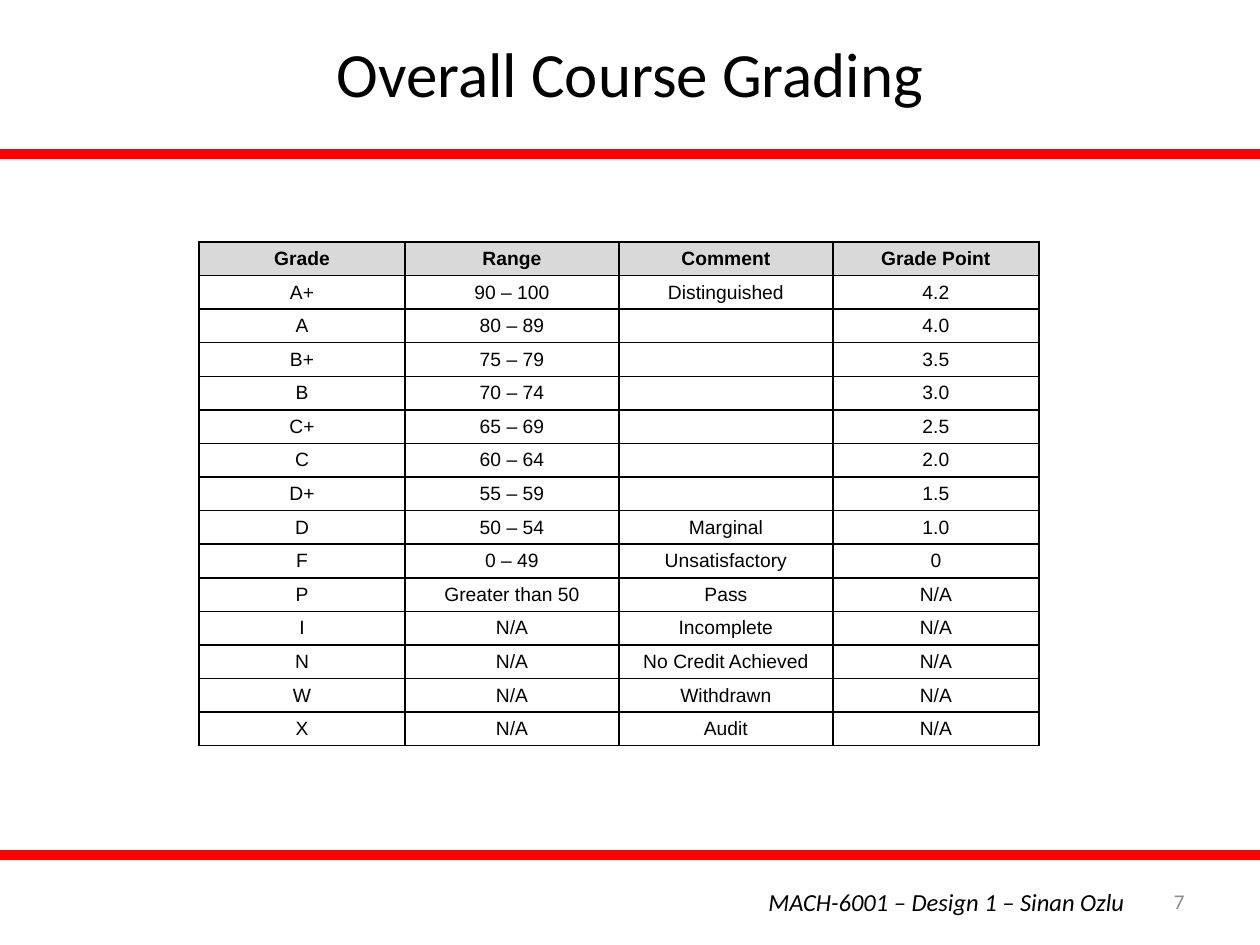
from dataclasses import dataclass

from lxml import etree
from pptx import Presentation
from pptx import util as u
from pptx.dml.color import RGBColor
from pptx.enum import shapes, text
from pptx.oxml import ns

EMU_PER_PX = 914400 / 126


@dataclass(frozen=True)
class Theme:
    ink: str = "000000"
    muted: str = "8C8C8C"
    accent: str = "FF0000"
    header_fill: str = "D9D9D9"
    heading_font: str = "Calibri"
    table_font: str = "Arial"
    title_size: int = 36
    footer_size: int = 14
    number_size: int = 12
    table_size: int = 11


THEME = Theme()

GRADES = [
    ("Grade", "Range", "Comment", "Grade Point"),
    ("A+", "90 – 100", "Distinguished", "4.2"),
    ("A", "80 – 89", "", "4.0"),
    ("B+", "75 – 79", "", "3.5"),
    ("B", "70 – 74", "", "3.0"),
    ("C+", "65 – 69", "", "2.5"),
    ("C", "60 – 64", "", "2.0"),
    ("D+", "55 – 59", "", "1.5"),
    ("D", "50 – 54", "Marginal", "1.0"),
    ("F", "0 – 49", "Unsatisfactory", "0"),
    ("P", "Greater than 50", "Pass", "N/A"),
    ("I", "N/A", "Incomplete", "N/A"),
    ("N", "N/A", "No Credit Achieved", "N/A"),
    ("W", "N/A", "Withdrawn", "N/A"),
    ("X", "N/A", "Audit", "N/A"),
]
COLUMN_WIDTHS = (206, 214, 214, 206)
TABLE_HEIGHT = 504


def px(length):
    return u.Emu(round(length * EMU_PER_PX))


def box(*lengths):
    return [px(length) for length in lengths]


def style_font(font, color, **values):
    font.color.rgb = RGBColor.from_string(color)
    for name, value in values.items():
        setattr(font, name, value)


def add_label(slide, words, place, align, color, wrap=True,
              anchor=text.MSO_ANCHOR.MIDDLE, **font_values):
    frame = slide.shapes.add_textbox(*box(*place)).text_frame
    frame.word_wrap = wrap
    frame.vertical_anchor = anchor
    line = frame.paragraphs[0]
    line.alignment = align
    run = line.add_run()
    run.text = words
    style_font(run.font, color, name=THEME.heading_font, **font_values)


def add_rule(slide, top):
    rule = slide.shapes.add_shape(shapes.MSO_SHAPE.RECTANGLE, *box(0, top, 1260, 6))
    rule.shadow.inherit = False
    accent = RGBColor.from_string(THEME.accent)
    rule.fill.solid()
    rule.fill.fore_color.rgb = accent
    rule.line.color.rgb = accent
    rule.line.width = u.Pt(2)


def add_borders(cell):
    properties = cell._tc.get_or_add_tcPr()
    for side in ("a:lnL", "a:lnR", "a:lnT", "a:lnB"):
        border = etree.SubElement(properties, ns.qn(side), w=str(u.Pt(1)))
        fill = etree.SubElement(border, ns.qn("a:solidFill"))
        etree.SubElement(fill, ns.qn("a:srgbClr"), val=THEME.ink)


def fill_cell(cell, words, is_header):
    add_borders(cell)
    if is_header:
        cell.fill.solid()
        cell.fill.fore_color.rgb = RGBColor.from_string(THEME.header_fill)
    else:
        cell.fill.background()
    layout = {"margin_left": px(9), "margin_right": px(9), "margin_top": 0,
              "margin_bottom": 0, "vertical_anchor": text.MSO_ANCHOR.MIDDLE}
    for name, value in layout.items():
        setattr(cell, name, value)
    line = cell.text_frame.paragraphs[0]
    line.alignment = text.PP_ALIGN.CENTER
    if words:
        run = line.add_run()
        run.text = words
        style_font(run.font, THEME.ink, name=THEME.table_font,
                   size=u.Pt(THEME.table_size), bold=is_header)
    else:
        # Keeps an empty cell from growing its row to the default type size.
        etree.SubElement(line._p, ns.qn("a:endParaRPr"), sz=str(THEME.table_size * 100))


def add_grade_table(slide):
    table = slide.shapes.add_table(
        len(GRADES), len(COLUMN_WIDTHS),
        *box(199, 242, sum(COLUMN_WIDTHS), TABLE_HEIGHT)).table
    table.first_row = table.horz_banding = False
    for column, width in zip(table.columns, COLUMN_WIDTHS):
        column.width = px(width)
    for row_index, (row, entries) in enumerate(zip(table.rows, GRADES)):
        row.height = px(TABLE_HEIGHT / len(GRADES))
        for cell, words in zip(row.cells, entries):
            fill_cell(cell, words, is_header=row_index == 0)


def main():
    deck = Presentation()
    deck.slide_width, deck.slide_height = box(1260, 945)
    slide = deck.slides.add_slide(deck.slide_layouts[6])

    add_label(slide, "Overall Course Grading", (68, 25, 1124, 95),
              text.PP_ALIGN.CENTER, THEME.ink, size=u.Pt(THEME.title_size))
    add_label(slide, "7", (903, 876, 294, 50),
              text.PP_ALIGN.RIGHT, THEME.muted, size=u.Pt(THEME.number_size))
    for top in (151, 852):
        add_rule(slide, top)
    add_grade_table(slide)
    add_label(slide, "MACH-6001 – Design 1 – Sinan Ozlu", (756, 881, 385, 43),
              text.PP_ALIGN.LEFT, THEME.ink, wrap=False, anchor=text.MSO_ANCHOR.TOP,
              size=u.Pt(THEME.footer_size), italic=True)

    deck.save("out.pptx")


if __name__ == "__main__":
    main()
